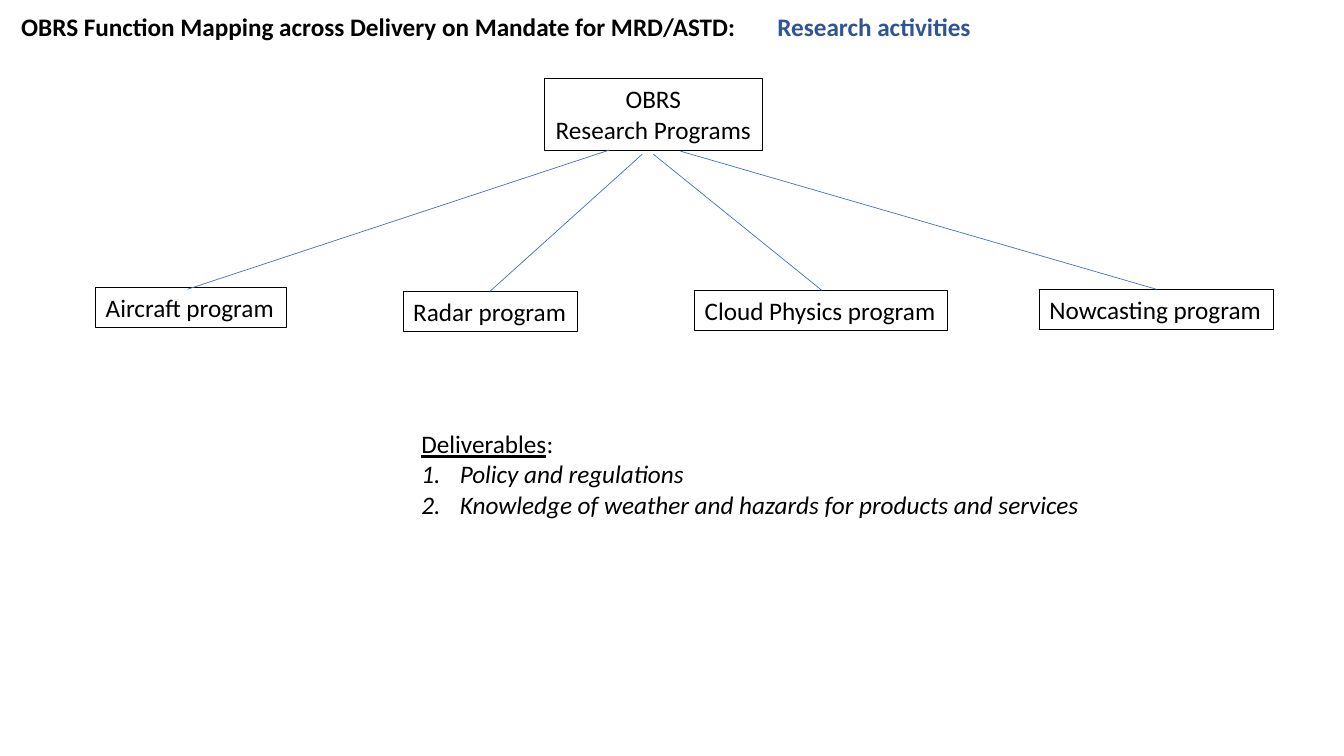
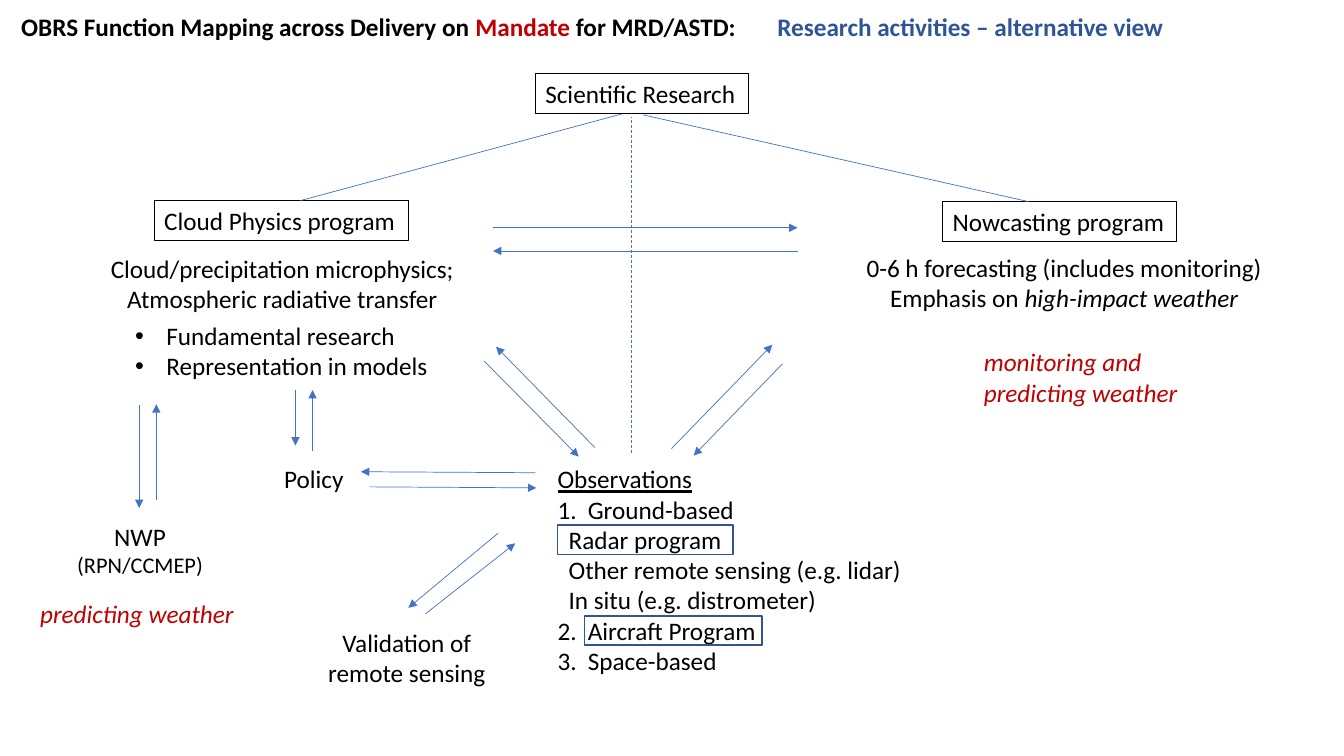
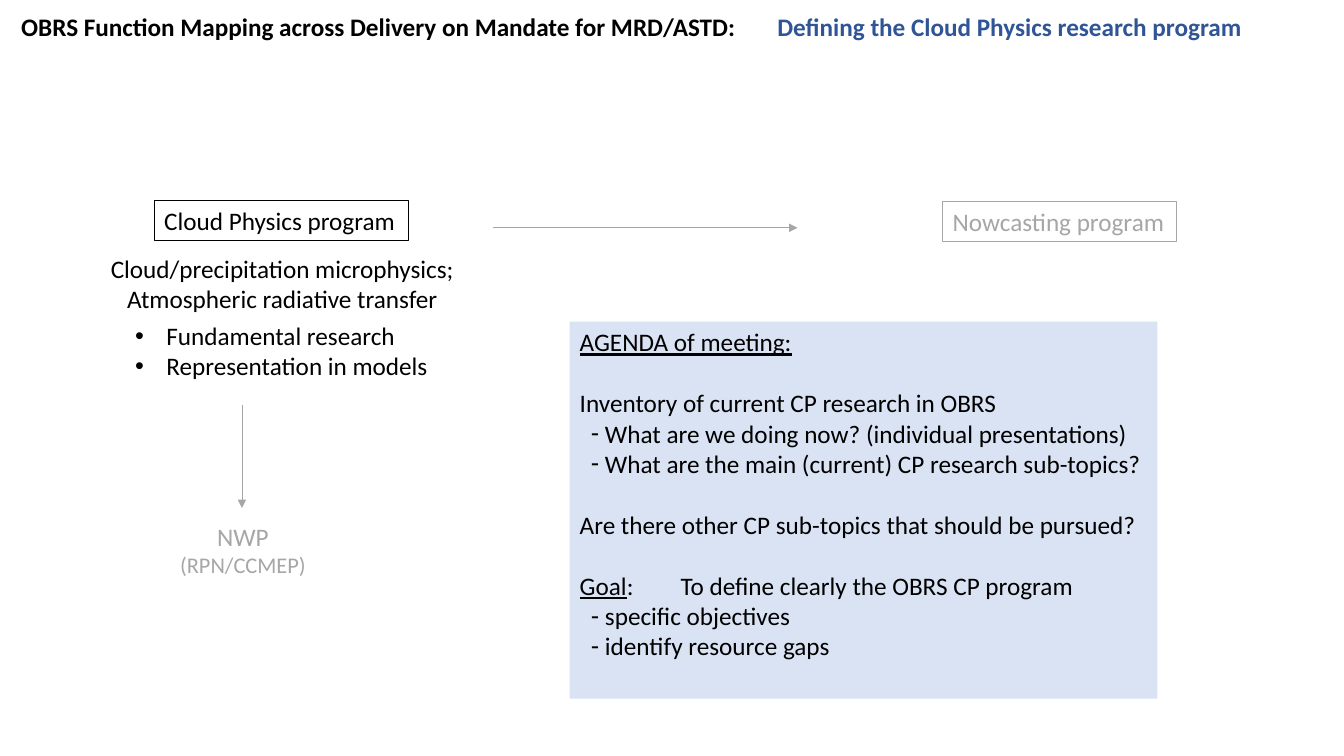
from dataclasses import dataclass

from lxml import etree
from pptx import Presentation
from pptx.dml.color import RGBColor
from pptx.enum.dml import MSO_LINE
from pptx.enum.shapes import MSO_CONNECTOR, MSO_SHAPE
from pptx.enum.text import MSO_ANCHOR, MSO_AUTO_SIZE, PP_ALIGN
from pptx.oxml.ns import qn
from pptx.util import Inches, Pt

LEFT, CENTER = PP_ALIGN.LEFT, PP_ALIGN.CENTER
TOP, MIDDLE = MSO_ANCHOR.TOP, MSO_ANCHOR.MIDDLE
GROW, FIXED = MSO_AUTO_SIZE.SHAPE_TO_FIT_TEXT, MSO_AUTO_SIZE.NONE
RECTANGLE, STRAIGHT, DASH = MSO_SHAPE.RECTANGLE, MSO_CONNECTOR.STRAIGHT, MSO_LINE.DASH

# Grid of one-inch squares
COLUMNS, ROWS = 13.33, 7.5
SINGLE_BODY, DOUBLE_BODY = 1, 3  # template layouts


@dataclass(frozen=True)
class Theme:
    font: str = "Calibri"
    size: int = 18
    small: int = 16
    ink: str = "000000"
    paper: str = "FFFFFF"
    title_accent: str = "2F5597"
    alert: str = "C00000"
    link: str = "4472C4"
    frame: str = "325491"
    muted: str = "A6A6A6"
    panel: str = "DAE3F3"
    box_line: float = 0.75
    frame_line: float = 1
    link_line: float = 0.5


THEME = Theme()
UNDERLINE, ITALIC = {"underline": True}, {"italic": True}
RED_ITALIC = {"italic": True, "color": THEME.alert}
MUTED = {"color": THEME.muted}


@dataclass
class Para:
    """One paragraph: a string or (text, format) runs, with its layout in grid units."""
    runs: object
    bullet: str = ""
    number: int = 0
    indent: float = 0
    hanging: float = 0
    tab: float = 0
    before: float = 0


def grid(*lengths):
    return [Inches(length) for length in lengths]


def rgb(value):
    return RGBColor.from_string(value)


# Text
def add_run(paragraph, text, style):
    run = paragraph.add_run()
    run.text = text
    style = {"name": THEME.font, "size": THEME.size, "color": THEME.ink, **style}
    run.font.color.rgb = rgb(style.pop("color"))
    style["size"] = Pt(style["size"])
    for attribute, value in style.items():
        setattr(run.font, attribute, value)


def format_paragraph(paragraph, para, align):
    paragraph.alignment = align
    paragraph.space_before = Pt(para.before)
    properties = paragraph._p.get_or_add_pPr()
    properties.set("marL", str(Inches(para.indent)))
    properties.set("indent", str(Inches(-para.hanging)))
    if para.number:
        marker = etree.SubElement(properties, qn("a:buAutoNum"), type="arabicPeriod")
        if para.number > 1:
            marker.set("startAt", str(para.number))
    elif para.bullet:
        etree.SubElement(properties, qn("a:buFont"), typeface="Arial")
        etree.SubElement(properties, qn("a:buChar"), char=para.bullet)
    else:
        etree.SubElement(properties, qn("a:buNone"))
    if para.tab:
        stops = etree.SubElement(properties, qn("a:tabLst"))
        etree.SubElement(stops, qn("a:tab"), pos=str(Inches(para.tab)), algn="l")


def write(frame, paras, align=LEFT, style=None, **settings):
    settings = {"vertical_anchor": TOP, "auto_size": FIXED, "word_wrap": True, **settings}
    for attribute, value in settings.items():
        setattr(frame, attribute, value)
    for index, para in enumerate(paras):
        para = para if isinstance(para, Para) else Para(para)
        paragraph = frame.add_paragraph() if index else frame.paragraphs[0]
        format_paragraph(paragraph, para, align)
        runs = [(para.runs, {})] if isinstance(para.runs, str) else para.runs
        for text, run_style in runs:
            add_run(paragraph, text, {**(style or {}), **run_style})


def move(shape, *place):
    shape.left, shape.top, shape.width, shape.height = grid(*place)


def fill_body(slide, index, place, paras):
    body = slide.placeholders[index]
    move(body, *place)
    write(body.text_frame, paras)
    return body


def add_label(slide, place, paras, align=LEFT, style=None):
    label = slide.shapes.add_textbox(*grid(*place))
    write(label.text_frame, paras, align, style, auto_size=GROW, word_wrap=False)
    return label


# Boxes and links
def add_box(slide, place, paras, align=LEFT, color=THEME.ink):
    box = add_label(slide, place, paras, align, {"color": color})
    box.line.color.rgb = rgb(color)
    box.line.width = Pt(THEME.box_line)
    return box


def add_frame(slide, place):
    frame = slide.shapes.add_shape(RECTANGLE, *grid(*place))
    frame.shadow.inherit = False
    frame.fill.background()
    frame.line.color.rgb = rgb(THEME.frame)
    frame.line.width = Pt(THEME.frame_line)


def add_link(slide, ends, arrow=False, color=THEME.link, dash=None):
    link = slide.shapes.add_connector(STRAIGHT, *grid(*ends))
    link.line.color.rgb = rgb(color)
    link.line.width = Pt(THEME.link_line)
    if dash:
        link.line.dash_style = dash
    if arrow:
        etree.SubElement(link.line._get_or_add_ln(), qn("a:tailEnd"), type="triangle")
    etree.SubElement(link._element.spPr, qn("a:effectLst"))


# Parts shared by the slides
def add_slide(deck, layout, topic, mandate_color=THEME.ink):
    slide = deck.slides.add_slide(deck.slide_layouts[layout])
    title = slide.shapes.title
    move(title, 0, 0.06, COLUMNS, 0.4)
    heading = Para([
        ("OBRS Function Mapping across Delivery on ", {}),
        ("Mandate", {"color": mandate_color}),
        (" for MRD/ASTD:\t", {}),
        (topic, {"color": THEME.title_accent}),
    ], tab=7.2)
    write(title.text_frame, [heading], style={"bold": True},
          vertical_anchor=MIDDLE, margin_left=Inches(0.21))
    return slide


def add_cloud_physics(slide):
    add_box(slide, (1.53, 1.99, 2.52, 0.4), ["Cloud Physics program"])
    add_label(slide, (0.98, 2.46, 3.64, 0.71),
              ["Cloud/precipitation microphysics;", "Atmospheric radiative transfer"], CENTER)
    fill_body(slide, 1, (1.24, 3.13, 3.14, 0.71),
              [Para(text, bullet="•", indent=0.31, hanging=0.31)
               for text in ("Fundamental research", "Representation in models")])


def add_forecast_links(slide, nwp_left, color, link_color):
    add_box(slide, (9.35, 2, 2.32, 0.4), ["Nowcasting program"], color=color)
    add_link(slide, (4.89, 2.26, 7.91, 2.26), True, link_color)
    add_label(slide, (nwp_left, 5.12, 1.46, 0.67),
              ["NWP", [("(RPN/CCMEP)", {"size": THEME.small})]], CENTER, {"color": color})
    arrow = nwp_left + 0.72
    add_link(slide, (arrow, 4.02, arrow, 5.04), True, link_color)


# Slides
def build_programs(deck):
    slide = add_slide(deck, SINGLE_BODY, "Research activities")
    add_box(slide, (5.4, 0.78, 2.16, 0.71), ["OBRS", "Research Programs"], CENTER)
    programs = [
        ("Aircraft program", (0.95, 2.85, 1.89, 0.4), (1.86, 2.87, 6.04, 1.49)),
        ("Radar program", (4, 2.89, 1.73, 0.4), (4.86, 2.89, 6.37, 1.53)),
        ("Cloud Physics program", (6.89, 2.88, 2.51, 0.4), (8.15, 2.88, 6.48, 1.53)),
        ("Nowcasting program", (10.31, 2.87, 2.32, 0.4), (11.47, 2.87, 6.75, 1.5)),
    ]
    for program, place, branch in programs:
        add_box(slide, place, [program])
        add_link(slide, branch)
    deliverables = ("Policy and regulations",
                    "Knowledge of weather and hazards for products and services")
    fill_body(slide, 1, (4.08, 4.2, 6.85, 1.01),
              [[("Deliverables", UNDERLINE), (":", {})]]
              + [Para([(text, ITALIC)], number=1, indent=0.38, hanging=0.38)
                 for text in deliverables])


def build_alternative_view(deck):
    slide = add_slide(deck, DOUBLE_BODY, "Research activities – alternative view", THEME.alert)
    add_cloud_physics(slide)
    add_forecast_links(slide, 0.66, THEME.ink, THEME.link)

    # Observations
    numbered = {"indent": 0.3, "hanging": 0.3}
    fill_body(slide, 2, (5.43, 4.55, 3.65, 2.22), [
        [("Observations", UNDERLINE)],
        Para("Ground-based", number=1, **numbered),
        Para("Radar program", indent=0.11),
        Para("Other remote sensing (e.g. lidar)", indent=0.11),
        Para("In situ (e.g. distrometer)", indent=0.11),
        Para("Aircraft Program", number=2, **numbered),
        Para("Space-based", number=2, **numbered),
    ])
    for place in ((5.53, 5.21, 1.74, 0.29), (5.8, 6.11, 1.76, 0.29)):
        add_frame(slide, place)

    # Captions
    add_label(slide, (8.47, 2.45, 4.17, 0.71),
              ["0-6 h forecasting (includes monitoring)",
               [("Emphasis on ", {}), ("high-impact weather", ITALIC)]], CENTER)
    add_label(slide, (0.3, 5.89, 2.15, 0.4), ["predicting weather"], style=RED_ITALIC)
    add_label(slide, (9.66, 3.39, 2.14, 0.71), ["monitoring and", "predicting weather"],
              style=RED_ITALIC)
    add_label(slide, (2.72, 4.55, 0.8, 0.4), ["Policy"])
    add_label(slide, (3.12, 6.17, 1.83, 0.71), ["Validation of", "remote sensing"], CENTER)

    # Branches from scientific research
    for branch in ((2.98, 1.99, 6.17, 1.13), (10.2, 2, 6.38, 1.14)):
        add_link(slide, branch)
    add_link(slide, (6.26, 4.49, 6.26, 1.16), dash=DASH)
    research = add_box(slide, (5.31, 0.73, 2.11, 0.4), ["Scientific Research"])
    research.fill.solid()
    research.fill.fore_color.rgb = rgb(THEME.paper)

    # Exchanges between the activities
    exchanges = [
        (7.91, 2.49, 4.89, 2.49), (1.55, 4.96, 1.55, 4.01),
        (6.66, 4.45, 7.66, 3.42), (7.76, 3.61, 6.88, 4.52),
        (5.9, 4.44, 4.92, 3.44), (4.8, 3.58, 5.74, 4.53),
        (5.31, 4.69, 3.58, 4.68), (3.67, 4.83, 5.32, 4.84),
        (2.93, 3.87, 2.93, 4.42), (3.1, 4.47, 3.1, 3.87),
        (4.22, 6.09, 5.11, 5.39), (4.94, 5.29, 4.05, 6.03),
    ]
    for ends in exchanges:
        add_link(slide, ends, arrow=True)


def build_cloud_physics(deck):
    slide = add_slide(deck, DOUBLE_BODY, "Defining the Cloud Physics research program")
    add_cloud_physics(slide)
    add_forecast_links(slide, 1.68, THEME.muted, THEME.muted)
    dashed = {"bullet": "-", "indent": 0.25, "hanging": 0.14}
    agenda = fill_body(slide, 2, (5.65, 3.19, 5.83, 3.74), [
        [("AGENDA of meeting:", UNDERLINE)],
        Para("Inventory of current CP research in OBRS", before=22),
        Para("What are we doing now? (individual presentations)", **dashed),
        Para("What are the main (current) CP research sub-topics?", **dashed),
        Para("Are there other CP sub-topics that should be pursued?", before=22),
        Para([("Goal", UNDERLINE), (":\tTo define clearly the OBRS CP program", {})],
             tab=0.65, before=22),
        Para("specific objectives", **dashed),
        Para("identify resource gaps", **dashed),
    ])
    agenda.fill.solid()
    agenda.fill.fore_color.rgb = rgb(THEME.panel)


def main():
    deck = Presentation()
    deck.slide_width, deck.slide_height = grid(COLUMNS, ROWS)
    for build in (build_programs, build_alternative_view, build_cloud_physics):
        build(deck)
    deck.save("out.pptx")


if __name__ == "__main__":
    main()
